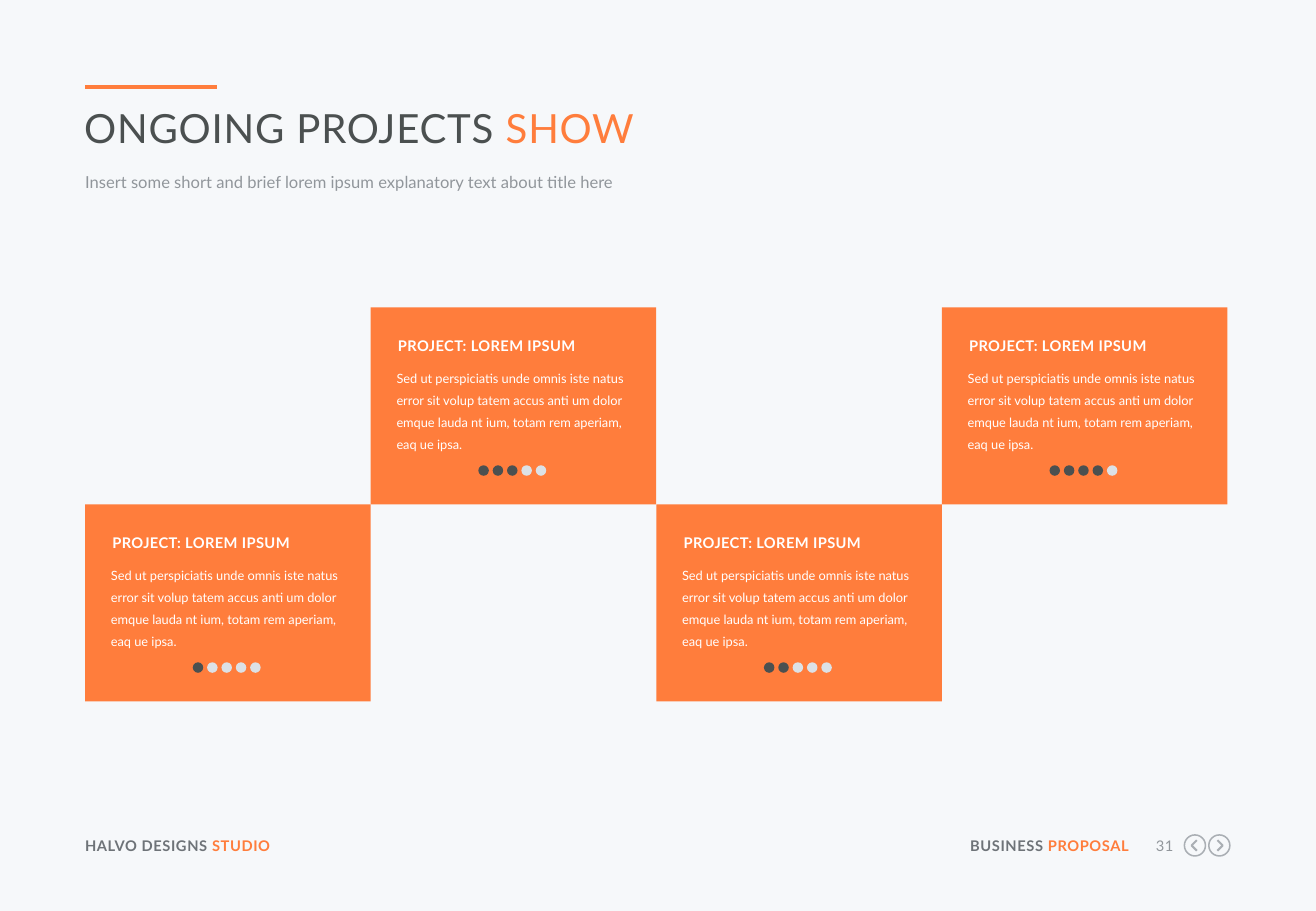
from pptx import Presentation
from pptx.dml.color import RGBColor
from pptx.enum.shapes import MSO_CONNECTOR, MSO_SHAPE
from pptx.enum.text import MSO_ANCHOR, MSO_AUTO_SIZE, PP_ALIGN
from pptx.oxml.ns import qn
from pptx.util import Cm, Pt
from lxml import etree

RECTANGLE, OVAL = MSO_SHAPE.RECTANGLE, MSO_SHAPE.OVAL
STRAIGHT = MSO_CONNECTOR.STRAIGHT
LEFT, RIGHT, JUSTIFY = PP_ALIGN.LEFT, PP_ALIGN.RIGHT, PP_ALIGN.JUSTIFY
TOP, MIDDLE = MSO_ANCHOR.TOP, MSO_ANCHOR.MIDDLE
NO_AUTOFIT, GROW = MSO_AUTO_SIZE.NONE, MSO_AUTO_SIZE.SHAPE_TO_FIT_TEXT

BACKGROUND = RGBColor(0xF6, 0xF8, 0xFA)
ORANGE = RGBColor(0xFF, 0x7D, 0x3C)
DARK = RGBColor(0x4B, 0x50, 0x50)
SLATE = RGBColor(0x6E, 0x73, 0x78)
GREY = RGBColor(0x91, 0x96, 0x9B)
ICON_GREY = RGBColor(0xAA, 0xAF, 0xB4)
PALE = RGBColor(0xDC, 0xE1, 0xE6)
WHITE = RGBColor(0xFF, 0xFF, 0xFF)

FONT = "Lato"
MARGIN = 1.78
CARD_WIDTH, CARD_HEIGHT = 5.97, 4.12
UPPER_ROW = 6.43
DOT_SIZE, DOT_PITCH, DOT_COUNT = 0.22, 0.3, 5
RING_SIZE = 0.44
FOOTER_TOP = 17.5

PROJECT_HEADING = "PROJECT: LOREM IPSUM"
PROJECT_TEXT = (
    "Sed ut perspiciatis unde omnis iste natus error sit volup tatem accus "
    "anti um dolor emque lauda nt ium, totam rem aperiam, eaq ue ipsa."
)
PROJECT_PROGRESS = [1, 3, 2, 4]


def write_text(frame, parts, size, bold=False, align=LEFT, spacing=0,
               line_points=None, anchor=TOP, auto_size=GROW):
    frame.margin_left = frame.margin_right = 0
    frame.margin_top = frame.margin_bottom = 0
    frame.word_wrap = True
    frame.auto_size = auto_size
    frame.vertical_anchor = anchor
    paragraph = frame.paragraphs[0]
    paragraph.alignment = align
    if line_points:
        paragraph.line_spacing = Pt(line_points)
    paragraph.font.name = FONT
    paragraph.font.size = Pt(size)
    paragraph.font.bold = bold
    if len(parts) == 1:
        paragraph.font.color.rgb = parts[0][1]
    for text, color in parts:
        run = paragraph.add_run()
        run.text = text
        if len(parts) > 1:
            run.font.color.rgb = color
        if spacing:
            run._r.get_or_add_rPr().set("spc", str(round(spacing * 100)))


def add_text(shapes, left, top, width, height, parts, size, **style):
    box = shapes.add_textbox(Cm(left), Cm(top), Cm(width), Cm(height))
    write_text(box.text_frame, parts, size, **style)


def add_filled(shapes, kind, left, top, width, height, color):
    shape = shapes.add_shape(kind, Cm(left), Cm(top), Cm(width), Cm(height))
    shape.shadow.inherit = False
    shape.fill.solid()
    shape.fill.fore_color.rgb = color
    shape.line.fill.background()


def style_outline(shape, points):
    shape.shadow.inherit = False
    shape.fill.background()
    shape.line.color.rgb = ICON_GREY
    shape.line.width = Pt(points)


def add_accent_line(shapes):
    line = shapes.add_connector(STRAIGHT, Cm(MARGIN), Cm(1.82), Cm(4.54), Cm(1.82))
    line.line.color.rgb = ORANGE
    line.line.width = Pt(2.25)
    etree.SubElement(line._element.spPr, qn("a:effectLst"))


def add_heading(slide):
    title = slide.shapes.title
    title.left, title.top = Cm(1.76), Cm(2.13)
    title.width, title.height = Cm(23.93), Cm(1.09)
    write_text(title.text_frame, [("ONGOING PROJECTS ", DARK), ("SHOW", ORANGE)],
               23.8, spacing=0.5, anchor=MIDDLE, auto_size=NO_AUTOFIT)
    add_text(slide.shapes, MARGIN, 3.56, 23.93, 0.53,
             [("Insert some short and brief lorem ipsum explanatory text "
               "about title here", GREY)],
             9.8, line_points=13, auto_size=NO_AUTOFIT)


def add_project_card(shapes, column, progress):
    left = MARGIN + column * CARD_WIDTH
    top = UPPER_ROW if column % 2 else UPPER_ROW + CARD_HEIGHT
    add_filled(shapes, RECTANGLE, left, top, CARD_WIDTH, CARD_HEIGHT, ORANGE)
    content = shapes.add_group_shape().shapes
    add_text(content, left + 0.54, top + 1.19, 4.9, 1.85,
             [(PROJECT_TEXT, WHITE)], 7.6, line_points=13)
    add_text(content, left + 0.57, top + 0.61, 4.85, 0.38,
             [(PROJECT_HEADING, WHITE)], 8.7, bold=True, align=JUSTIFY, spacing=0.2)
    for dot in range(DOT_COUNT):
        add_filled(content, OVAL, left + 2.25 + dot * DOT_PITCH, top + 3.3,
                   DOT_SIZE, DOT_SIZE, DARK if dot < progress else PALE)


def add_arrow_icon(shapes, center_x, center_y, direction):
    ring = shapes.add_shape(OVAL, Cm(center_x - RING_SIZE / 2),
                            Cm(center_y - RING_SIZE / 2),
                            Cm(RING_SIZE), Cm(RING_SIZE))
    style_outline(ring, 0.9)
    tail_x = Cm(center_x - direction * 0.04)
    builder = shapes.build_freeform(tail_x, Cm(center_y - 0.11))
    builder.add_line_segments([(Cm(center_x + direction * 0.07), Cm(center_y)),
                               (tail_x, Cm(center_y + 0.11))], close=False)
    style_outline(builder.convert_to_shape(), 1.2)


def add_footer(shapes):
    add_text(shapes, MARGIN, FOOTER_TOP, 5.36, 0.38,
             [("HALVO DESIGNS ", SLATE), ("STUDIO", ORANGE)],
             8.7, bold=True, spacing=0.3)
    add_text(shapes, 20.12, FOOTER_TOP, 3.48, 0.38,
             [("BUSINESS ", SLATE), ("PROPOSAL", ORANGE)],
             8.7, bold=True, align=RIGHT, spacing=0.3)
    add_text(shapes, 23.9, FOOTER_TOP, 0.63, 0.38, [("31", GREY)],
             8.7, align=RIGHT, spacing=0.3)
    for center_x, direction in ((24.98, -1), (25.49, 1)):
        add_arrow_icon(shapes, center_x, 17.68, direction)


def main():
    presentation = Presentation()
    presentation.slide_width = Cm(27.51)
    presentation.slide_height = Cm(19.05)
    slide = presentation.slides.add_slide(presentation.slide_layouts[5])
    slide.background.fill.solid()
    slide.background.fill.fore_color.rgb = BACKGROUND
    add_accent_line(slide.shapes)
    add_heading(slide)
    for column, progress in enumerate(PROJECT_PROGRESS):
        add_project_card(slide.shapes, column, progress)
    add_footer(slide.shapes)
    presentation.save("out.pptx")


if __name__ == "__main__":
    main()
